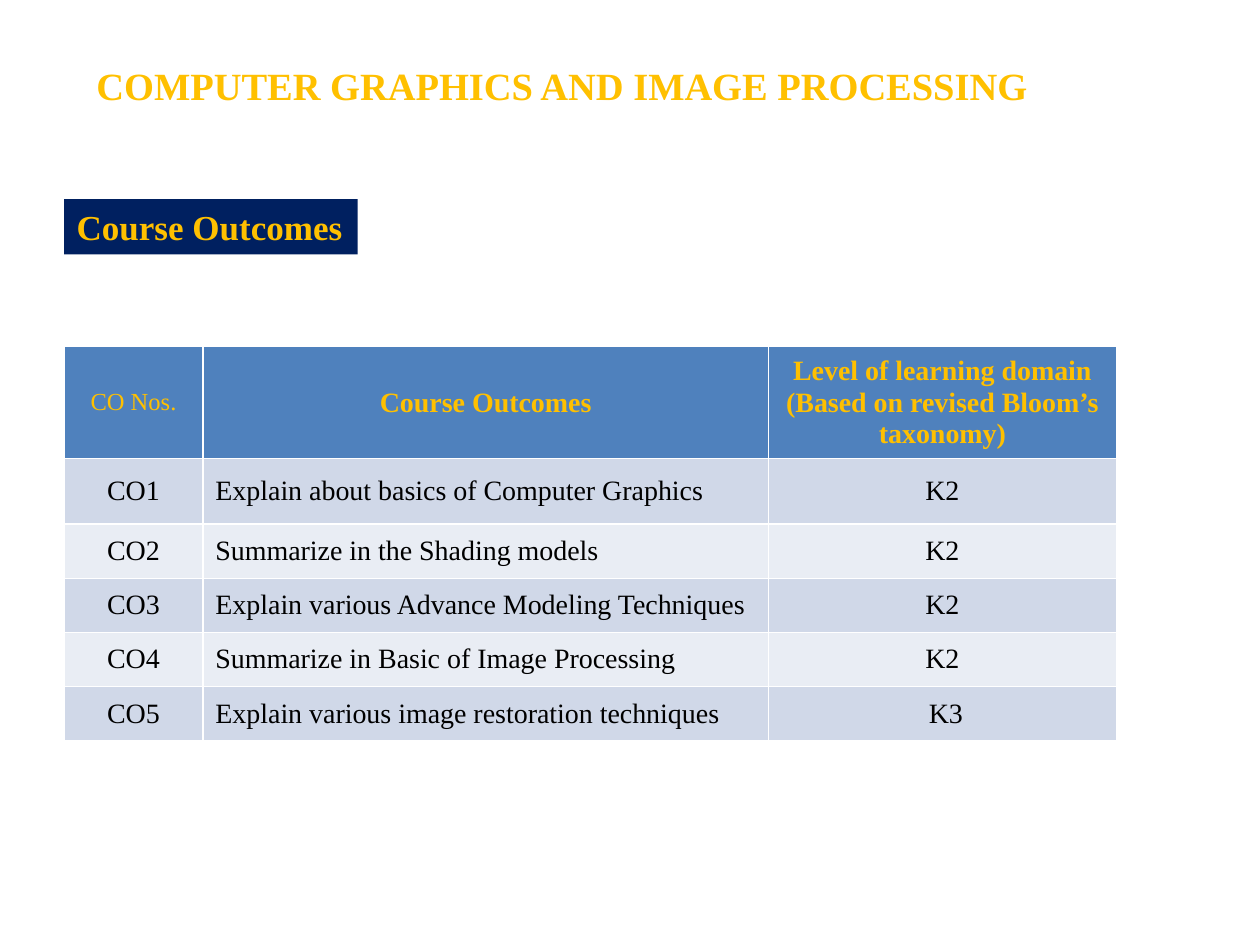
import dataclasses

import pptx
import pptx.dml.color
import pptx.enum.shapes
import pptx.enum.text
import pptx.util

Inches = pptx.util.Inches
Pt = pptx.util.Pt
Align = pptx.enum.text.PP_ALIGN
Anchor = pptx.enum.text.MSO_ANCHOR

COLORS = {
    "gold": "FFC000",
    "navy": "002060",
    "head": "4F81BD",
    "odd": "D0D8E8",
    "even": "E9EDF4",
    "ink": "000000",
}
WIDTHS = (1.1, 4.49, 2.76)
HEIGHTS = (0.89, 0.52, 0.43, 0.43, 0.43, 0.43)


@dataclasses.dataclass
class Style:
    size: int
    color: str = "gold"
    bold: bool = True
    align: Align = Align.CENTER


@dataclasses.dataclass
class Outcome:
    code: str
    goal: str
    level: str


OUTCOMES = (
    Outcome("CO1", "Explain about basics of Computer Graphics", "K2"),
    Outcome("CO2", "Summarize in the Shading models", "K2"),
    Outcome("CO3", "Explain various Advance Modeling Techniques", "K2"),
    Outcome("CO4", "Summarize in Basic of Image Processing", "K2"),
    Outcome("CO5", "Explain various image restoration techniques", " K3"),
)
HEADS = (
    ("CO Nos.", Style(14, bold=False)),
    ("Course Outcomes", Style(16)),
    ("Level of learning domain\n(Based on revised Bloom’s\ntaxonomy)", Style(16)),
)


def rgb(name: str) -> pptx.dml.color.RGBColor:
    return pptx.dml.color.RGBColor.from_string(COLORS[name])


def paint(item, name: str) -> None:
    item.fill.solid()
    item.fill.fore_color.rgb = rgb(name)


def write(frame, text: str, style: Style) -> None:
    """Fill a text frame, one paragraph per line of text."""
    frame.text = text
    form = {"name": "Times New Roman", "size": Pt(style.size), "bold": style.bold}
    for para in frame.paragraphs:
        para.alignment = style.align
        for run in para.runs:
            for key, value in form.items():
                setattr(run.font, key, value)
            run.font.color.rgb = rgb(style.color)


def add_title(slide) -> None:
    title = slide.shapes.title
    box = {"left": -0.04, "top": 0.05, "width": 9, "height": 1.25}
    for key, value in box.items():
        setattr(title, key, Inches(value))
    title.text_frame.vertical_anchor = Anchor.MIDDLE
    write(title.text_frame, "COMPUTER GRAPHICS AND IMAGE PROCESSING", Style(22))


def add_label(slide) -> None:
    label = slide.shapes.add_shape(
        pptx.enum.shapes.MSO_SHAPE.RECTANGLE,
        Inches(0.51), Inches(1.58), Inches(2.33), Inches(0.44))
    label.shadow.inherit = False
    label.line.fill.background()
    paint(label, "navy")
    frame = label.text_frame
    form = {
        "word_wrap": False,
        "auto_size": pptx.enum.text.MSO_AUTO_SIZE.SHAPE_TO_FIT_TEXT,
        "vertical_anchor": Anchor.TOP,
    }
    for key, value in form.items():
        setattr(frame, key, value)
    write(frame, "Course Outcomes", Style(20, align=Align.LEFT))


def set_cell(cell, text: str, style: Style, fill: str) -> None:
    paint(cell, fill)
    cell.vertical_anchor = Anchor.MIDDLE
    write(cell.text_frame, text, style)


def add_grid(slide) -> None:
    grid = slide.shapes.add_table(
        len(HEIGHTS), len(WIDTHS), Inches(0.51), Inches(2.75),
        Inches(sum(WIDTHS)), Inches(sum(HEIGHTS))).table
    for col, width in zip(grid.columns, WIDTHS):
        col.width = Inches(width)
    for row, height in zip(grid.rows, HEIGHTS):
        row.height = Inches(height)
    for col, (text, style) in enumerate(HEADS):
        set_cell(grid.cell(0, col), text, style, "head")
    mid = Style(16, "ink", False)
    left = dataclasses.replace(mid, align=Align.LEFT)
    for row, item in enumerate(OUTCOMES, 1):
        fill = "odd" if row % 2 else "even"
        for col, text in enumerate(dataclasses.astuple(item)):
            set_cell(grid.cell(row, col), text, left if col == 1 else mid, fill)


def main() -> None:
    deck = pptx.Presentation()
    deck.slide_width, deck.slide_height = Inches(10), Inches(7.5)
    slide = deck.slides.add_slide(deck.slide_layouts[5])
    add_title(slide)
    add_grid(slide)
    add_label(slide)
    deck.save("out.pptx")


if __name__ == "__main__":
    main()
